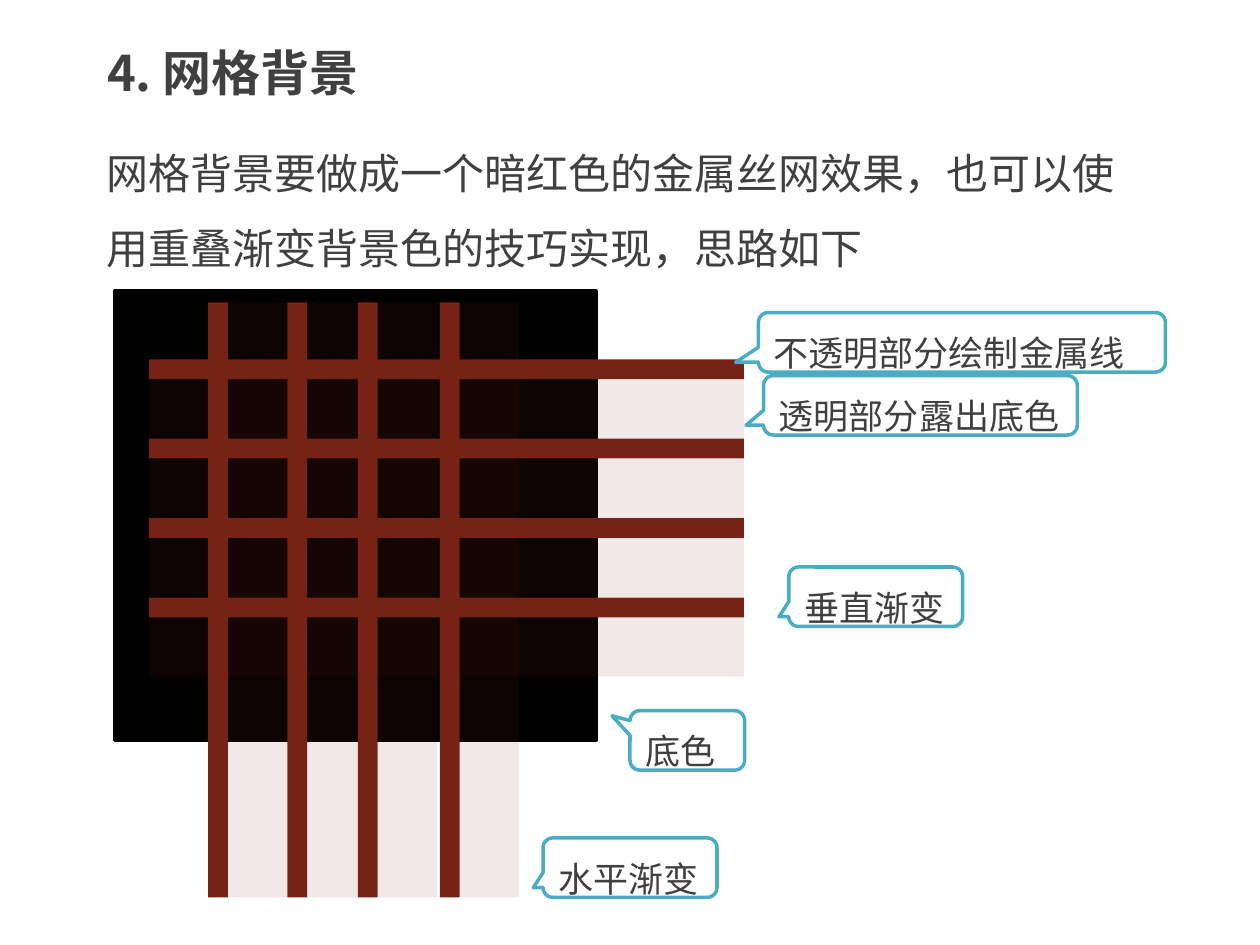
from dataclasses import dataclass

from lxml.etree import SubElement
from pptx import Presentation
from pptx.dml.color import RGBColor
from pptx.enum.shapes import MSO_SHAPE as SHAPE
from pptx.enum.text import MSO_ANCHOR as ANCHOR, MSO_AUTO_SIZE as AUTO, PP_ALIGN as ALIGN
from pptx.oxml.ns import qn
from pptx.util import Pt

FONT = "Noto Sans CJK SC"
BLACK = RGBColor(0x00, 0x00, 0x00)
WHITE = RGBColor(0xFF, 0xFF, 0xFF)
GREY = RGBColor(0x40, 0x40, 0x40)
DARK_RED = RGBColor(0x76, 0x22, 0x14)
TEAL = RGBColor(0x4B, 0xAC, 0xC6)

STRIP_LENGTH = 340
WIRE_WIDTH, GAP_WIDTH = 11.3, 34
GAP_OFFSET = (WIRE_WIDTH + GAP_WIDTH) / 2
ROW_CENTER_X, ROW_TOP_Y, ROW_PITCH, ROWS = 255.2, 211, 45.36, 4
COLUMN_CENTER_Y = 342.8
COLUMN_XS = (257, 210.2, 169.9, 124.6)
SIDE_TAIL = (-0.556, 0.337)


@dataclass
class Callout:
    text: str
    left: float
    top: float
    width: float
    tail: tuple[float, float] = SIDE_TAIL


CALLOUTS = [
    Callout("不透明部分绘制金属线", 433.4, 178.6, 232.6),
    Callout("透明部分露出底色", 436.3, 214.6, 179.3),
    Callout("垂直渐变", 450.7, 324, 99.4),
    Callout("水平渐变", 310.3, 478.8, 99.4),
    Callout("底色", 360, 406.1, 65.5, (-0.657, -0.412)),
]


def set_text(tf, text: str, size: float, bold: bool = False, spacing: float = 1.0) -> None:
    tf.word_wrap = True
    tf.text = text
    p = tf.paragraphs[0]
    p.alignment = ALIGN.LEFT
    p.line_spacing = spacing
    font = p.runs[0].font
    font.size, font.bold, font.name = Pt(size), bold, FONT
    font.color.rgb = GREY
    SubElement(p.runs[0].font._element, qn("a:ea"), typeface=FONT)


def add_box(shapes, kind: SHAPE, left: float, top: float, width: float, height: float,
            fill: RGBColor, line: RGBColor | None = None):
    sp = shapes.add_shape(kind, Pt(left), Pt(top), Pt(width), Pt(height))
    sp.shadow.inherit = False
    sp.fill.solid()
    sp.fill.fore_color.rgb = fill
    if line is None:
        sp.line.fill.background()
    else:
        sp.line.color.rgb = line
        sp.line.width = Pt(2)
    return sp


def add_strip(shapes, cx: float, cy: float, thickness: float, rotation: float):
    sp = add_box(shapes, SHAPE.RECTANGLE, cx - STRIP_LENGTH / 2, cy - thickness / 2,
                 STRIP_LENGTH, thickness, DARK_RED)
    sp.rotation = rotation
    return sp


def add_wire_and_gap(shapes, cx: float, cy: float, dx: float, dy: float, rotation: float) -> None:
    """Draw an opaque wire and, offset by (dx, dy), its 10 % opaque gap."""
    add_strip(shapes, cx, cy, WIRE_WIDTH, rotation)
    gap = add_strip(shapes, cx + dx, cy + dy, GAP_WIDTH, rotation)
    color = gap._element.spPr.find(qn("a:solidFill")).find(qn("a:srgbClr"))
    SubElement(color, qn("a:alpha"), val="10000")


def add_callout(shapes, callout: Callout) -> None:
    sp = add_box(shapes, SHAPE.ROUNDED_RECTANGULAR_CALLOUT, callout.left, callout.top,
                 callout.width, 34, WHITE, TEAL)
    sp.adjustments[0], sp.adjustments[1] = callout.tail
    sp.text_frame.vertical_anchor = ANCHOR.MIDDLE
    set_text(sp.text_frame, callout.text, 20, spacing=1.5)


def main() -> None:
    prs = Presentation()
    prs.slide_width, prs.slide_height = Pt(720), Pt(540)
    slide = prs.slides.add_slide(prs.slide_layouts[5])
    shapes = slide.shapes

    title = shapes.title
    title.left, title.top, title.width, title.height = Pt(54), Pt(20.9), Pt(612), Pt(41)
    title.text_frame.vertical_anchor = ANCHOR.TOP
    title.text_frame.auto_size = AUTO.SHAPE_TO_FIT_TEXT
    set_text(title.text_frame, "4. 网格背景", 28, bold=True)

    body = shapes.add_textbox(Pt(54), Pt(66.2), Pt(612), Pt(94.3))
    body.text_frame.auto_size = AUTO.SHAPE_TO_FIT_TEXT
    set_text(body.text_frame,
             "网格背景要做成一个暗红色的金属丝网效果，也可以使用重叠渐变背景色的技巧实现，思路如下",
             24, spacing=1.5)

    mesh = shapes.add_group_shape().shapes
    add_box(mesh, SHAPE.RECTANGLE, 65.5, 166.3, 275, 257, BLACK, BLACK)
    for row in range(ROWS):
        add_wire_and_gap(mesh, ROW_CENTER_X, ROW_TOP_Y + row * ROW_PITCH, 0, GAP_OFFSET, 0)
    for x in COLUMN_XS:
        add_wire_and_gap(mesh, x, COLUMN_CENTER_Y, GAP_OFFSET, 0, 270)

    for callout in CALLOUTS:
        add_callout(shapes, callout)

    prs.save("out.pptx")


if __name__ == "__main__":
    main()
